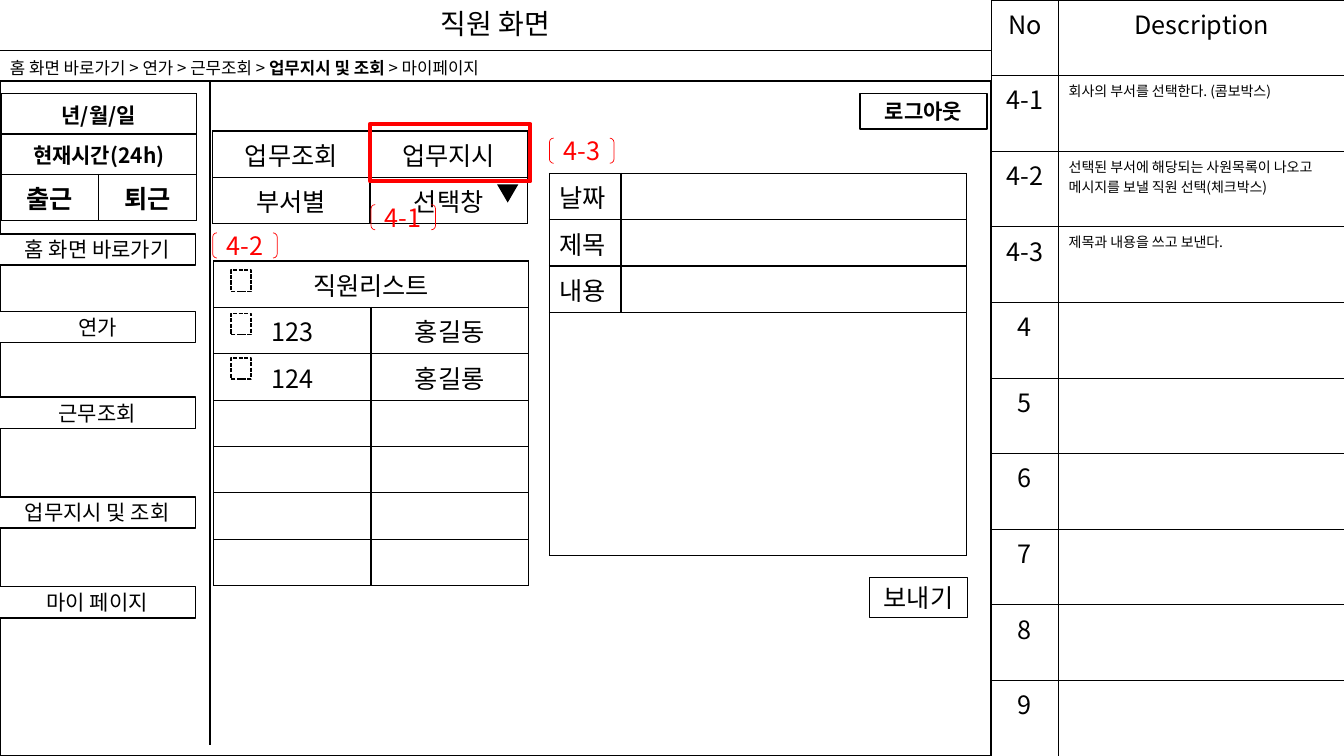
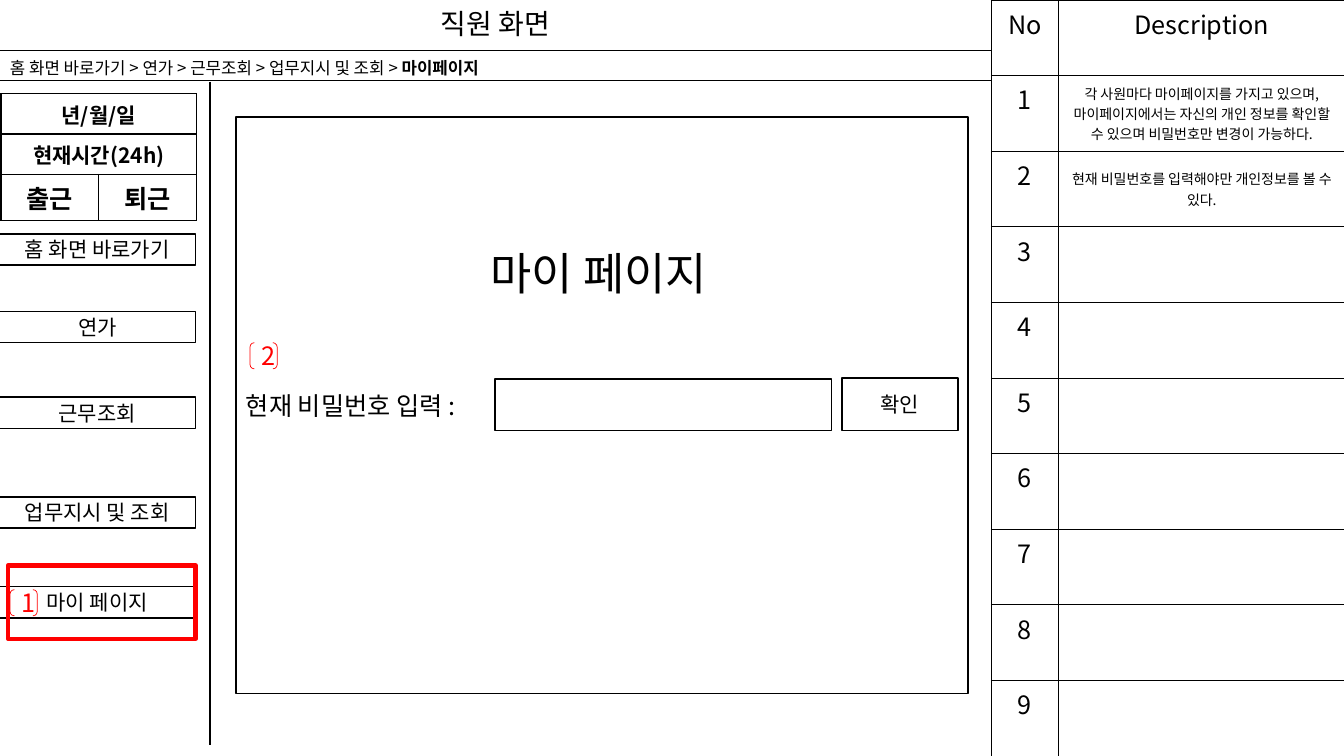
import dataclasses

import pptx
import pptx.dml.color
import pptx.enum.dml
import pptx.enum.shapes
import pptx.enum.text
import pptx.oxml.ns
import pptx.util
from lxml import etree

Inches = pptx.util.Inches
Pt = pptx.util.Pt
SHAPE = pptx.enum.shapes.MSO_SHAPE
ALIGN = pptx.enum.text.PP_ALIGN
ANCHOR = pptx.enum.text.MSO_ANCHOR
qn = pptx.oxml.ns.qn


@dataclasses.dataclass(frozen=True)
class Theme:
    font: str = "Noto Sans CJK KR"
    ink: str = "000000"
    paper: str = "FFFFFF"
    accent: str = "FF0000"
    note: float = 10
    crumb: float = 12
    button: float = 15
    body: float = 18
    title: float = 20
    heading: float = 32
    hairline: float = 0.5
    thin: float = 0.75
    line: float = 1
    divider: float = 1.5
    highlight: float = 3


THEME = Theme()
SCREEN_WIDTH = 9.83
BODY_TOP = 0.81
ROW = 0.46
CRUMBS = ["홈 화면 바로가기", "연가", "근무조회", "업무지시 및 조회", "마이페이지"]
MENU = [("홈 화면 바로가기", 2.32), ("연가", 3.09), ("근무조회", 3.94),
        ("업무지시 및 조회", 4.93), ("마이 페이지", 5.82)]


def rgb(value):
    return pptx.dml.color.RGBColor.from_string(value)


def format_run(span, size, color=THEME.ink, bold=False):
    span.font.size = Pt(size)
    span.font.bold = bold
    span.font.color.rgb = rgb(color)
    span.font.name = THEME.font
    east_asian = etree.SubElement(span._r.get_or_add_rPr(), qn("a:ea"))
    east_asian.set("typeface", THEME.font)


def format_text(frame, size, color=THEME.ink, bold=False, align=ALIGN.CENTER):
    for para in frame.paragraphs:
        para.alignment = align
        for span in para.runs:
            format_run(span, size, color, bold)


def add_box(page, at, text="", size=THEME.button, fill=THEME.paper, line=THEME.ink,
            width=THEME.line, color=THEME.ink, bold=False, align=ALIGN.CENTER,
            kind=SHAPE.RECTANGLE):
    box = page.shapes.add_shape(kind, *map(Inches, at))
    box.shadow.inherit = False
    if fill:
        box.fill.solid()
        box.fill.fore_color.rgb = rgb(fill)
    else:
        box.fill.background()
    if line:
        box.line.color.rgb = rgb(line)
        box.line.width = Pt(width)
    else:
        box.line.fill.background()
    if text:
        box.text_frame.text = text
        box.text_frame.vertical_anchor = ANCHOR.MIDDLE
        format_text(box.text_frame, size, color, bold, align)
    return box


def add_marker(page, at, text):
    """Red bracketed number that refers to the description table."""
    add_box(page, at, text, THEME.body, fill=None, line=THEME.accent,
            width=THEME.hairline, color=THEME.accent, kind=SHAPE.DOUBLE_BRACKET)


def add_highlight(page, at):
    add_box(page, at, fill=None, line=THEME.accent, width=THEME.highlight)


def set_borders(cell, width):
    properties = cell._tc.get_or_add_tcPr()
    for side in ("lnL", "lnR", "lnT", "lnB"):
        edge = etree.SubElement(properties, qn("a:" + side), w=str(Pt(width)))
        paint = etree.SubElement(edge, qn("a:solidFill"))
        etree.SubElement(paint, qn("a:srgbClr"), val=THEME.ink)


def add_grid(page, left, top, widths, heights, rows, width=THEME.line,
             size=THEME.body, bold=False, align=ALIGN.CENTER):
    """Bordered table; a row with a single entry spans all columns."""
    frame = page.shapes.add_table(len(rows), len(widths), Inches(left), Inches(top),
                                  Inches(sum(widths)), Inches(sum(heights)))
    table = frame.table
    table.first_row = table.horz_banding = False
    for column, column_width in zip(table.columns, widths):
        column.width = Inches(column_width)
    for index, (height, entries) in enumerate(zip(heights, rows)):
        table.rows[index].height = Inches(height)
        for cell in table.rows[index].cells:
            set_borders(cell, width)
            cell.fill.background()
        if len(entries) < len(widths):
            table.cell(index, 0).merge(table.cell(index, len(widths) - 1))
        for position, text in enumerate(entries):
            cell = table.cell(index, position)
            cell.text_frame.text = text
            format_text(cell.text_frame, size, bold=bold, align=align)
    return table


def add_descriptions(page, numbers, notes, align, anchor):
    notes = notes + [""] * (len(numbers) - len(notes))
    rows = [("No", "Description"), *zip(numbers, notes)]
    table = add_grid(page, SCREEN_WIDTH, 0, [0.67, 2.84], [0.75] * len(rows), rows,
                     width=THEME.hairline)
    for index in range(1, len(rows)):
        cell = table.cell(index, 1)
        cell.vertical_anchor = anchor
        format_text(cell.text_frame, THEME.note, align=align)


def add_breadcrumbs(page, current):
    box = page.shapes.add_textbox(Inches(0), Inches(0.52), Inches(6.14), Inches(0.3))
    box.text_frame.word_wrap = True
    para = box.text_frame.paragraphs[0]
    for index, crumb in enumerate(CRUMBS):
        if index:
            separator = para.add_run()
            separator.text = " > "
            format_run(separator, THEME.crumb)
        span = para.add_run()
        span.text = crumb
        format_run(span, THEME.crumb, bold=crumb == current)


def add_clock(page):
    table = add_grid(page, 0.01, 0.93, [0.97, 0.97], [0.4, 0.4, ROW],
                     [["년/월/일"], ["현재시간(24h)"], ["출근", "퇴근"]],
                     size=THEME.button, bold=True)
    for cell in table.rows[2].cells:
        format_text(cell.text_frame, THEME.body, bold=True)


def add_divider(page):
    divider = page.shapes.add_connector(
        pptx.enum.shapes.MSO_CONNECTOR.STRAIGHT,
        Inches(2.08), Inches(BODY_TOP), Inches(2.08), Inches(7.39))
    divider.line.color.rgb = rgb(THEME.ink)
    divider.line.width = Pt(THEME.divider)
    etree.SubElement(divider._element.spPr, qn("a:effectLst"))


def add_screen(deck, current, framed=False):
    """Page with the header, breadcrumbs and side menu of every screen."""
    page = deck.slides.add_slide(deck.slide_layouts[6])
    if framed:
        add_box(page, (0, BODY_TOP, SCREEN_WIDTH, 7.5 - BODY_TOP))
    title = add_box(page, (0, 0, SCREEN_WIDTH, 0.5), "직원 화면", THEME.title,
                    fill=None, width=THEME.thin)
    title.text_frame.paragraphs[0].line_spacing = 0.9
    add_box(page, (0, 0.5, SCREEN_WIDTH, 0.3), fill=None, width=THEME.thin)
    add_breadcrumbs(page, current)
    add_clock(page)
    for label, top in MENU:
        add_box(page, (-0.01, top, 1.95, 0.31), label)
    add_divider(page)
    return page


def build_work_order(deck):
    page = add_screen(deck, "업무지시 및 조회", framed=True)
    add_descriptions(
        page, ["4-1", "4-2", "4-3", *map(str, range(4, 10))],
        ["회사의 부서를 선택한다. (콤보박스)",
         "선택된 부서에 해당되는 사원목록이 나오고\n메시지를 보낼 직원 선택(체크박스)",
         "제목과 내용을 쓰고 보낸다."],
        ALIGN.LEFT, ANCHOR.TOP)

    # Tabs and department selector
    add_grid(page, 2.11, 1.3, [1.56, 1.56], [ROW] * 2,
             [["업무조회", "업무지시"], ["부서별", "선택창"]])
    arrow = add_box(page, (4.93, 1.83, 0.21, 0.18), fill=THEME.ink, line=None,
                    kind=SHAPE.ISOSCELES_TRIANGLE)
    arrow.rotation = 180

    # Employee list with checkboxes
    employees = [["직원리스트"], ["123", "홍길동"], ["124", "홍길롱"]] + [["", ""]] * 4
    add_grid(page, 2.12, 2.59, [1.56, 1.56], [ROW] * len(employees), employees)
    for top in (2.68, 3.11, 3.55):
        checkbox = add_box(page, (2.29, top, 0.2, 0.21), fill=None)
        checkbox.line.dash_style = pptx.enum.dml.MSO_LINE.SQUARE_DOT

    # Message form
    add_grid(page, 5.45, 1.72, [0.71, 3.43], [ROW] * 3 + [2.41],
             [["날짜", ""], ["제목", ""], ["내용", ""], [""]], align=ALIGN.LEFT)
    add_box(page, (8.62, 5.73, 0.98, 0.4), "보내기", THEME.body, fill=None,
            width=THEME.thin)
    add_box(page, (8.53, 0.93, 1.26, 0.35), "로그아웃", bold=True)

    # Markers
    for text, left, top in (("4-3", 5.45, 1.37), ("4-1", 3.68, 2.03), ("4-2", 2.11, 2.31)):
        add_marker(page, (left, top, 0.64, 0.25), text)
    add_highlight(page, (3.67, 1.23, 1.59, 0.57))


def build_my_page(deck):
    page = add_screen(deck, "마이페이지")
    add_descriptions(
        page, [str(number) for number in range(1, 10)],
        ["각 사원마다 마이페이지를 가지고 있으며, 마이페이지에서는 자신의 개인 정보를 "
         "확인할 수 있으며 비밀번호만 변경이 가능하다.",
         "현재 비밀번호를 입력해야만 개인정보를 볼 수 있다."],
        ALIGN.CENTER, ANCHOR.MIDDLE)

    # Password panel
    add_box(page, (2.34, 1.16, 7.26, 5.72), "현재 비밀번호 입력 :", THEME.body,
            align=ALIGN.LEFT)
    add_box(page, (4.91, 3.76, 3.34, 0.51))
    add_box(page, (8.35, 3.75, 1.15, 0.52), "확인")
    add_box(page, (3.63, 2.16, 4.62, 1.08), "마이 페이지", THEME.heading, line=None)

    # Markers
    for text, left, top in (("1", 0.1, 5.85), ("2", 2.48, 3.4)):
        add_marker(page, (left, top, 0.27, 0.26), text)
    add_highlight(page, (0.08, 5.61, 1.86, 0.73))


def main():
    deck = pptx.Presentation()
    deck.slide_width = Inches(13.33)
    deck.slide_height = Inches(7.5)
    build_work_order(deck)
    build_my_page(deck)
    deck.save("out.pptx")


if __name__ == "__main__":
    main()
